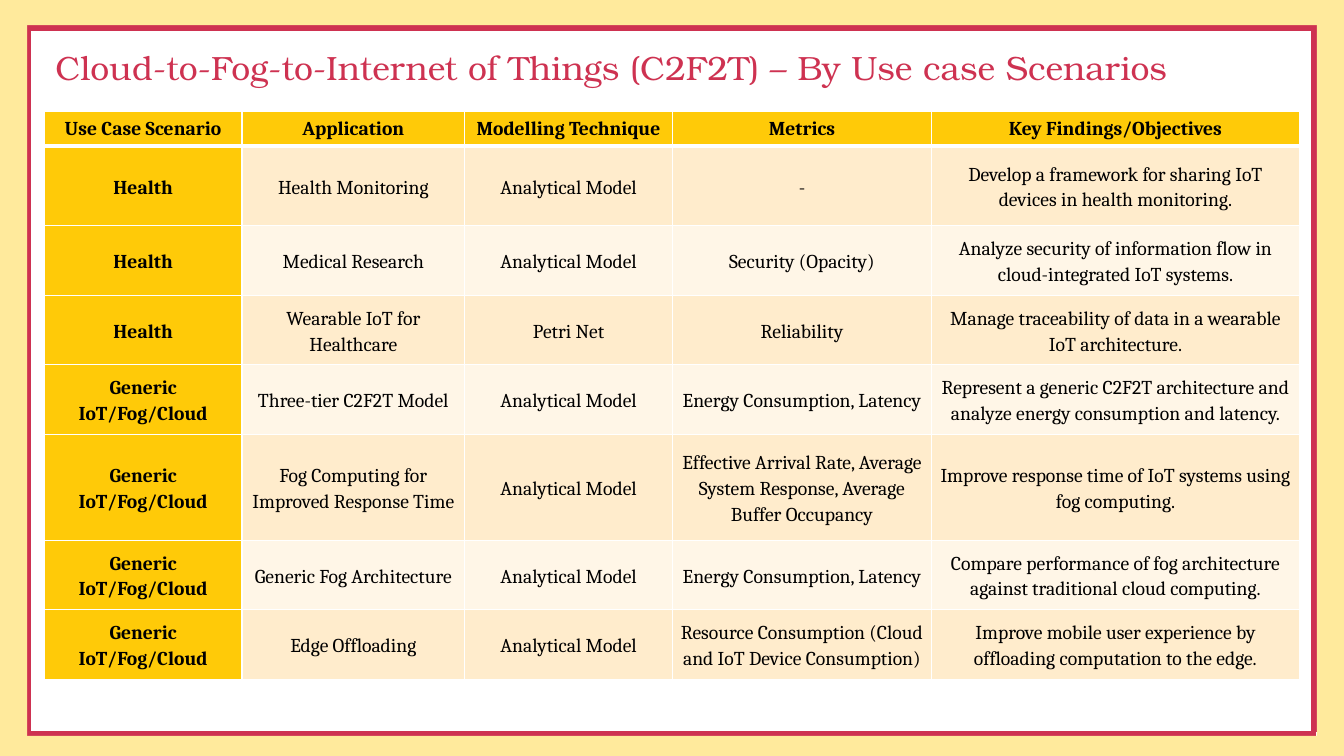
from pptx import Presentation
from pptx.dml.color import RGBColor
from pptx.enum.shapes import MSO_CONNECTOR as Connector, MSO_SHAPE as Shape
from pptx.enum.text import MSO_ANCHOR as Anchor, MSO_AUTO_SIZE as AutoSize, PP_ALIGN as Align
from pptx.oxml.ns import qn
from pptx.util import Inches, Pt
from lxml.etree import SubElement

COLORS = {
    "crimson": "CE3251",
    "cream": "FFEA9C",
    "gold": "FFCA08",
    "peach": "FFECCC",
    "ivory": "FFF6E7",
    "white": "FFFFFF",
    "black": "000000",
}


def write_text(frame, text, font="Cambria", size=14, color="black", bold=False,
               align=Align.CENTER, line_spacing=None, space_after=None):
    paragraph = frame.paragraphs[0]
    paragraph.alignment = align
    paragraph.line_spacing = line_spacing
    paragraph.space_after = space_after
    run = paragraph.add_run()
    run.text = text
    run.font.name = font
    run.font.size = Pt(size)
    run.font.bold = bold
    run.font.color.rgb = RGBColor.from_string(COLORS[color])


def add_border(cell, side, width):
    line = SubElement(cell._tc.get_or_add_tcPr(), qn(f"a:{side}"), w=str(Pt(width)))
    fill = SubElement(line, qn("a:solidFill"))
    SubElement(fill, qn("a:srgbClr"), val=COLORS["white"])


presentation = Presentation()
presentation.slide_width = Inches(13.33)
presentation.slide_height = Inches(7.5)
slide = presentation.slides.add_slide(presentation.slide_layouts[5])
slide.background.fill.solid()
slide.background.fill.fore_color.rgb = RGBColor.from_string(COLORS["white"])

frame_lines = [
    (0.26, 7.28, 13.05, 7.28),
    (0.28, 0.28, 0.28, 7.3),
    (0.27, 0.28, 13.06, 0.28),
    (13.03, 0.24, 13.03, 7.26),
]
for ends in frame_lines:
    connector = slide.shapes.add_connector(Connector.STRAIGHT, *map(Inches, ends))
    connector.line.width = Pt(4.5)
    connector.line.color.rgb = RGBColor.from_string(COLORS["crimson"])
    SubElement(connector._element.spPr, qn("a:effectLst"))

edge_bands = [
    (0, 0, 13.33, 0.25, 0),
    (0, 7.3, 13.33, 0.25, 0),
    (9.67, 3.64, 7.05, 0.27, 90),
    (-3.39, 3.64, 7.05, 0.27, 90),
]
for *box, rotation in edge_bands:
    band = slide.shapes.add_shape(Shape.RECTANGLE, *map(Inches, box))
    band.rotation = rotation
    band.shadow.inherit = False
    band.fill.solid()
    band.fill.fore_color.rgb = RGBColor.from_string(COLORS["cream"])
    band.line.fill.background()

title = slide.shapes.title
title.left, title.top, title.width, title.height = map(Inches, (0.45, 0.35, 12.45, 0.69))
title.text_frame.vertical_anchor = Anchor.MIDDLE
title.text_frame.auto_size = AutoSize.NONE
title.text_frame.word_wrap = True
write_text(title.text_frame, "Cloud-to-Fog-to-Internet of Things (C2F2T) – By Use case Scenarios",
           font="TeX Gyre Bonum", size=24, color="crimson", align=Align.LEFT, line_spacing=0.9)

health, generic, analytical = "Health", "Generic IoT/Fog/Cloud", "Analytical Model"
use_cases = [
    ("Use Case Scenario", "Application", "Modelling Technique", "Metrics", "Key Findings/Objectives"),
    (health, "Health Monitoring", analytical, "-",
     "Develop a framework for sharing IoT devices in health monitoring."),
    (health, "Medical Research", analytical, "Security (Opacity)",
     "Analyze security of information flow in cloud-integrated IoT systems."),
    (health, "Wearable IoT for Healthcare", "Petri Net", "Reliability",
     "Manage traceability of data in a wearable IoT architecture."),
    (generic, "Three-tier C2F2T Model", analytical, "Energy Consumption, Latency",
     "Represent a generic C2F2T architecture and analyze energy consumption and latency."),
    (generic, "Fog Computing for Improved Response Time", analytical,
     "Effective Arrival Rate, Average System Response, Average Buffer Occupancy",
     "Improve response time of IoT systems using fog computing."),
    (generic, "Generic Fog Architecture", analytical, "Energy Consumption, Latency",
     "Compare performance of fog architecture against traditional cloud computing."),
    (generic, "Edge Offloading", analytical,
     "Resource Consumption (Cloud and IoT Device Consumption)",
     "Improve mobile user experience by offloading computation to the edge."),
]
column_widths = [1.96, 2.21, 2.06, 2.57, 3.65]
row_heights = [0.34, 0.79, 0.69, 0.69, 0.69, 1.05, 0.69, 0.69]

table = slide.shapes.add_table(
    len(row_heights), len(column_widths), Inches(0.44), Inches(1.11),
    Inches(sum(column_widths)), Inches(sum(row_heights))).table
for column, width in zip(table.columns, column_widths):
    column.width = Inches(width)
for row, height in zip(table.rows, row_heights):
    row.height = Inches(height)

for row_index, texts in enumerate(use_cases):
    is_header = row_index == 0
    body_fill = "peach" if row_index % 2 else "ivory"
    for column_index, text in enumerate(texts):
        cell = table.cell(row_index, column_index)
        is_heading = is_header or column_index == 0
        cell.vertical_anchor = Anchor.MIDDLE
        cell.margin_left = cell.margin_right = Inches(0.07)
        cell.margin_top = cell.margin_bottom = 0
        add_border(cell, "lnL", 1)
        add_border(cell, "lnR", 1)
        add_border(cell, "lnT", 3 if row_index == 1 else 1)
        add_border(cell, "lnB", 3 if is_header else 1)
        cell.fill.solid()
        cell.fill.fore_color.rgb = RGBColor.from_string(COLORS["gold" if is_heading else body_fill])
        write_text(cell.text_frame, text, bold=is_heading,
                   line_spacing=None if is_header else 1.15,
                   space_after=None if is_header else Pt(8))

presentation.save("out.pptx")
